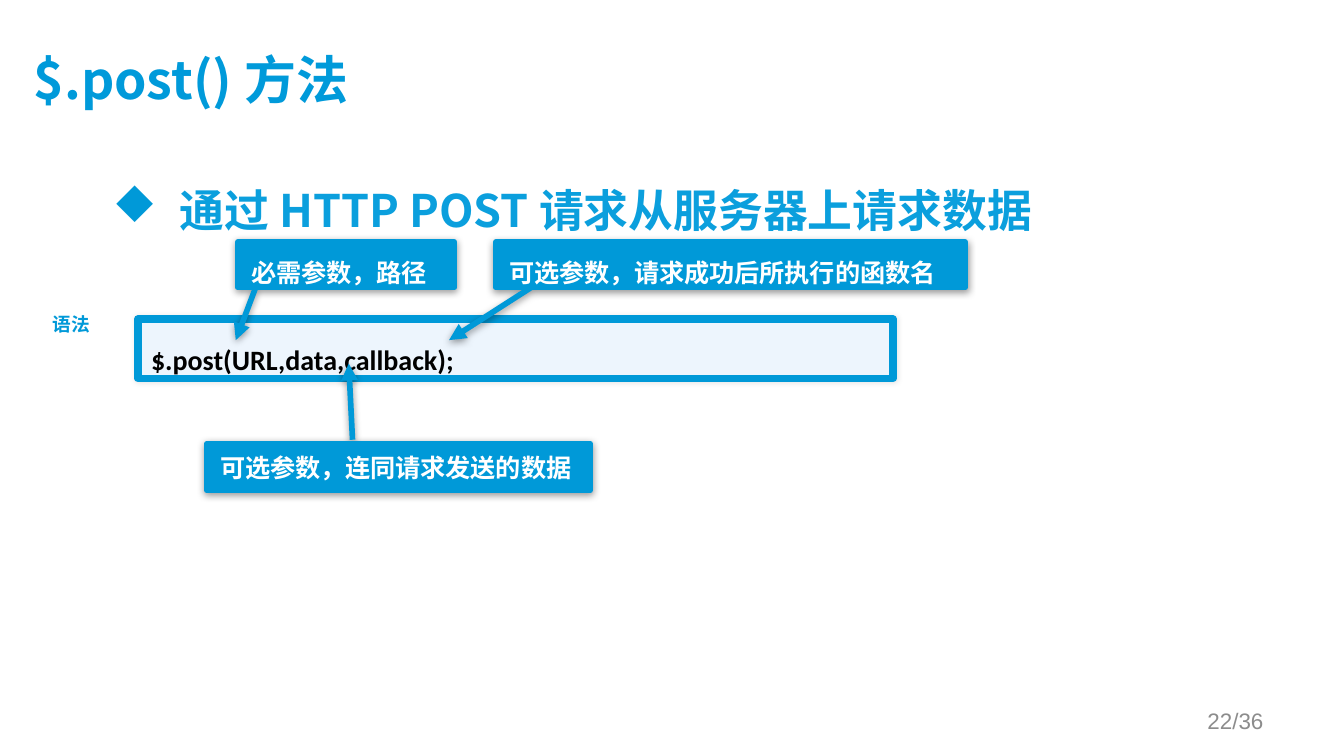
"""Build the slide that explains the parameters of the $.post() method."""
from dataclasses import dataclass

from lxml import etree
from pptx import Presentation, util as u
from pptx.dml.color import RGBColor
from pptx.enum import shapes, text
from pptx.oxml.ns import qn

CELL = u.Inches(0.1)
COLUMNS, ROWS = 100, 56.25
HAN_FONT = "Noto Sans CJK SC"
COLORS = {"title": "009ADA", "accent": "0099D8", "heading": "0B9FDD", "code": "EDF5FD",
          "black": "000000", "white": "FFFFFF", "page": "8C8C8C"}


@dataclass(frozen=True)
class Area:
    """Columns and rows of the slide grid."""
    column: float
    row: float
    width: float
    height: float

    def lengths(self) -> list[int]:
        """Return left, top, width and height as slide lengths."""
        return [round(CELL * cells) for cells in (self.column, self.row, self.width, self.height)]


@dataclass(frozen=True)
class Style:
    """Look of one line of text."""
    size: float
    color: str
    font: str = "Arial"
    bold: bool = True
    align: text.PP_ALIGN = text.PP_ALIGN.LEFT
    anchor: text.MSO_ANCHOR = text.MSO_ANCHOR.TOP
    spacing: float = 1.0


@dataclass(frozen=True)
class Shadow:
    """Soft shadow: opacity in percent, lengths in points, angle in degrees."""
    opacity: int
    blur: float
    distance: float
    angle: int


@dataclass(frozen=True)
class Callout:
    """Parameter note; pointer holds tip y, tip x, root y and root x as shares of the box."""
    note: str
    area: Area
    pointer: tuple[float, float, float, float]
    spacing: float = 1.0


CALLOUTS = (
    Callout("必需参数，路径", Area(17.7, 18, 16.1, 3.4), (2.15, -0.01, 0.9, 0.09), 1.5),
    Callout("可选参数，连同请求发送的数据", Area(15.4, 33, 28.5, 3.5), (-1.7, 0.37, -0.08, 0.38)),
    Callout("可选参数，请求成功后所执行的函数名", Area(36.9, 18, 34.9, 3.4), (2.15, -0.1, 0.9, 0.09), 1.5),
)


def write(frame, words: str, style: Style, wrap: bool = True) -> None:
    """Set one styled paragraph in a text frame."""
    frame.text = words
    frame.word_wrap = wrap
    frame.auto_size = text.MSO_AUTO_SIZE.NONE
    frame.vertical_anchor = style.anchor
    paragraph = frame.paragraphs[0]
    paragraph.alignment = style.align
    paragraph.line_spacing = style.spacing
    for run in paragraph.runs:
        run.font.size = u.Pt(style.size)
        run.font.bold = style.bold
        run.font.name = style.font
        run.font.color.rgb = RGBColor.from_string(COLORS[style.color])
        latin = run._r.rPr.find(qn("a:latin"))
        han = etree.Element(qn("a:ea"), typeface=HAN_FONT)
        latin.addnext(han)


def add_label(slide, area: Area, words: str, style: Style, wrap: bool = True):
    """Add a text box and return its text frame."""
    frame = slide.shapes.add_textbox(*area.lengths()).text_frame
    write(frame, words, style, wrap)
    return frame


def add_bullet(paragraph) -> None:
    """Give a paragraph a hanging diamond bullet."""
    properties = paragraph._p.get_or_add_pPr()
    properties.set("marL", str(u.Inches(0.5)))
    properties.set("indent", str(-u.Inches(0.5)))
    color = etree.SubElement(properties, qn("a:buClr"))
    etree.SubElement(color, qn("a:srgbClr"), val=COLORS["accent"])
    etree.SubElement(properties, qn("a:buFont"), typeface="Wingdings", charset="2")
    etree.SubElement(properties, qn("a:buChar"), char="u")


def add_box(slide, kind: shapes.MSO_SHAPE, area: Area, fill: str, line: float, shadow: Shadow):
    """Add a filled, outlined and shadowed shape."""
    box = slide.shapes.add_shape(kind, *area.lengths())
    box.fill.solid()
    box.fill.fore_color.rgb = RGBColor.from_string(COLORS[fill])
    box.line.color.rgb = RGBColor.from_string(COLORS["accent"])
    box.line.width = u.Pt(line)
    box.shadow.inherit = False
    effects = box._element.spPr.find(qn("a:effectLst"))
    outer = etree.SubElement(effects, qn("a:outerShdw"), blurRad=str(u.Pt(shadow.blur)),
                             dist=str(u.Pt(shadow.distance)), dir=str(shadow.angle * 60000),
                             algn="ctr", rotWithShape="0")
    tint = etree.SubElement(outer, qn("a:srgbClr"), val=COLORS["black"])
    etree.SubElement(tint, qn("a:alpha"), val=str(shadow.opacity * 1000))
    return box


def add_callout(slide, callout: Callout) -> None:
    """Add a parameter note with an arrow to the code."""
    box = add_box(slide, shapes.MSO_SHAPE.LINE_CALLOUT_1, callout.area, "accent", 3, Shadow(40, 4, 1, 90))
    for index, share in enumerate(callout.pointer):
        box.adjustments[index] = share
    etree.SubElement(box.line._get_or_add_ln(), qn("a:headEnd"), type="triangle")
    write(box.text_frame, callout.note,
          Style(13.5, "white", anchor=text.MSO_ANCHOR.MIDDLE, spacing=callout.spacing))


def add_title(slide) -> None:
    """Place and format the slide title."""
    title = slide.shapes.title
    title.left, title.top, title.width, title.height = Area(2.5, 2.25, 90.1, 7.7).lengths()
    frame = title.text_frame
    frame.margin_left = frame.margin_top = 0
    write(frame, "$.post() 方法", Style(27.8, "title", HAN_FONT, anchor=text.MSO_ANCHOR.MIDDLE))


def main() -> None:
    """Build and save the presentation."""
    deck = Presentation()
    deck.slide_width, deck.slide_height = round(CELL * COLUMNS), round(CELL * ROWS)
    slide = deck.slides.add_slide(deck.slide_layouts.get_by_name("Title Only"))
    add_title(slide)
    heading = add_label(slide, Area(7.4, 11.1, 84.9, 37.1), "通过 HTTP POST 请求从服务器上请求数据",
                        Style(24, "heading", HAN_FONT, spacing=1.5))
    add_bullet(heading.paragraphs[0])
    syntax = add_box(slide, shapes.MSO_SHAPE.ROUNDED_RECTANGLE, Area(10.25, 23.75, 56.2, 4.4),
                     "code", 4, Shadow(10, 3, 0, 0))
    syntax.adjustments[0] = 0
    write(syntax.text_frame, "$.post(URL,data,callback);", Style(15, "black", "Calibri", spacing=1.5))
    for callout in CALLOUTS:
        add_callout(slide, callout)
    add_label(slide, Area(2.9, 22.8, 4.8, 2.7), "语法",
              Style(10, "accent", align=text.PP_ALIGN.CENTER), wrap=False)
    add_label(slide, Area(71.7, 52.15, 23.3, 3), "22/36",
              Style(12, "page", bold=False, align=text.PP_ALIGN.RIGHT, anchor=text.MSO_ANCHOR.MIDDLE))
    deck.save("out.pptx")


if __name__ == "__main__":
    main()
